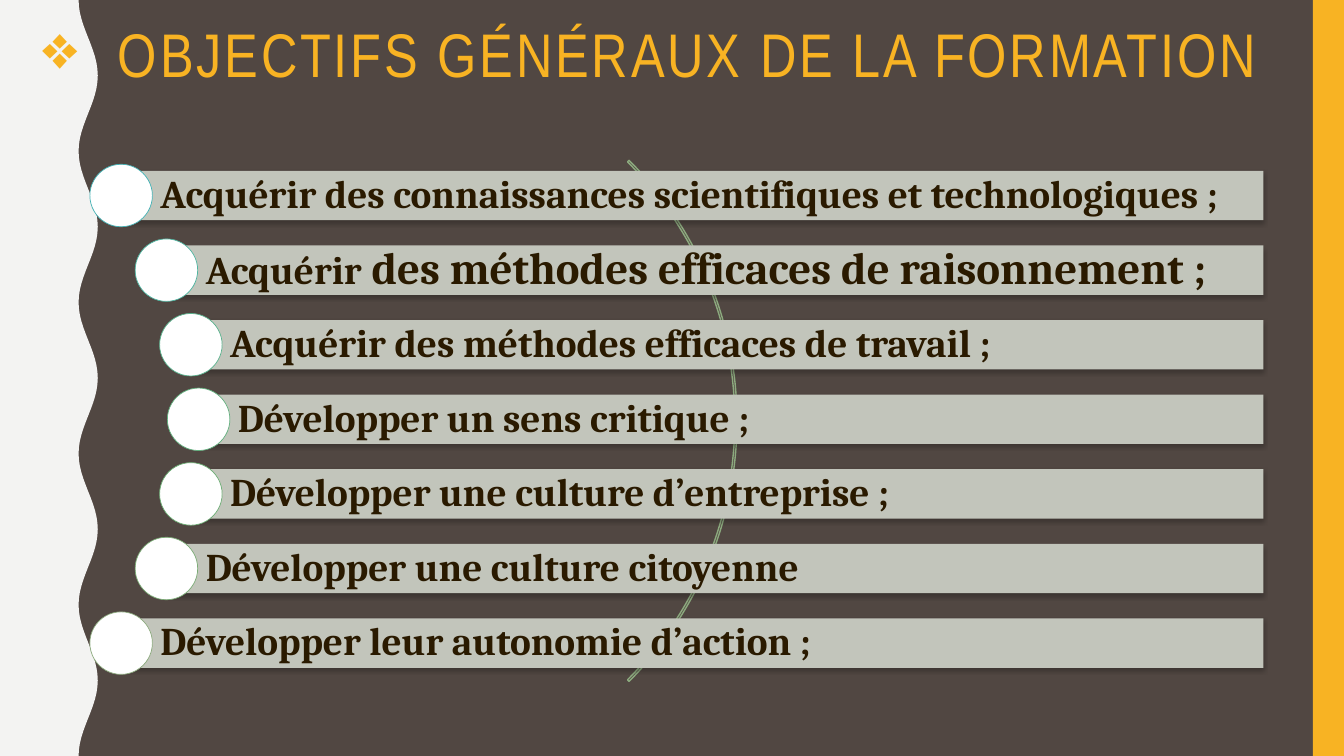
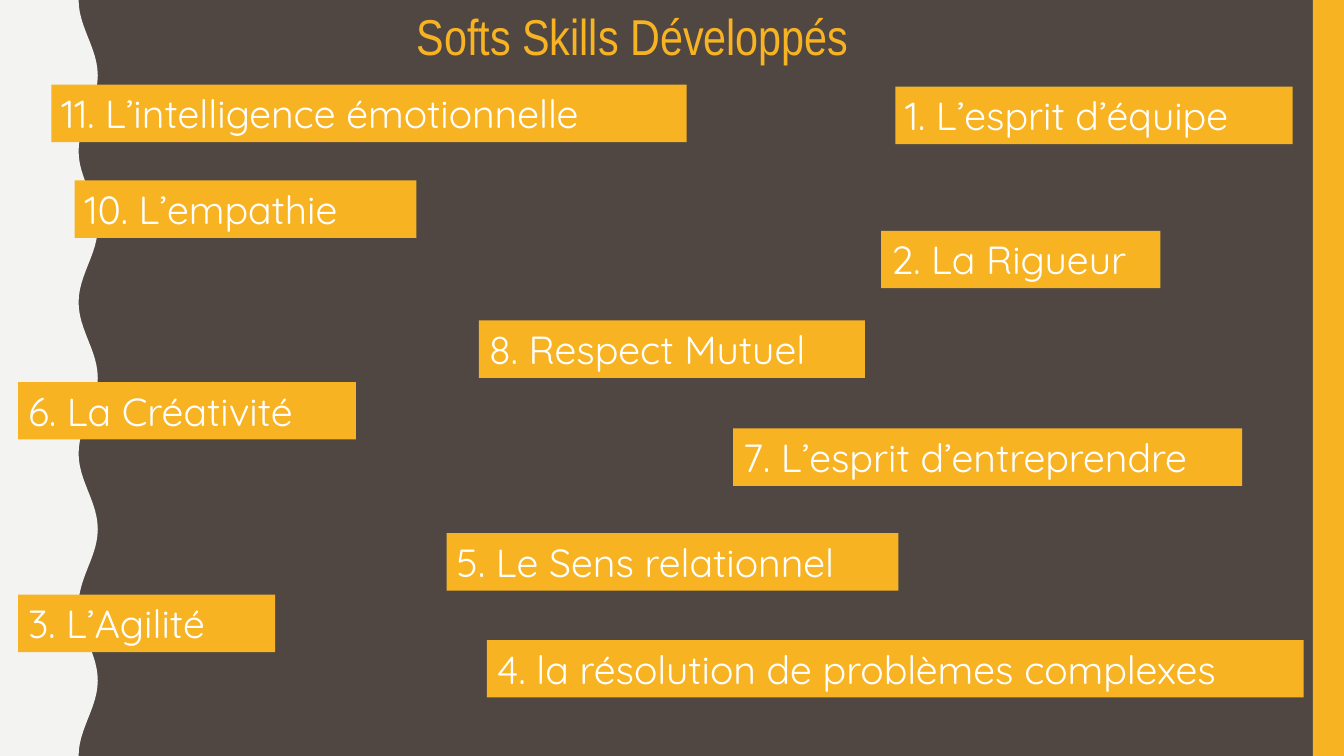
import math

import pptx
import pptx.dml.color
import pptx.enum.shapes
import pptx.enum.text
import pptx.oxml.ns
import pptx.util
from lxml import etree

Inches, Pt = pptx.util.Inches, pptx.util.Pt
RGBColor = pptx.dml.color.RGBColor
SHAPE = pptx.enum.shapes.MSO_SHAPE
ALIGN = pptx.enum.text.PP_ALIGN
ANCHOR = pptx.enum.text.MSO_ANCHOR
AUTO_SIZE = pptx.enum.text.MSO_AUTO_SIZE
qn = pptx.oxml.ns.qn

# Content
GOALS_TITLE = "OBJECTIFS GÉNÉRAUX DE LA FORMATION"
# Each goal: text runs with their own size (None: the common size), dot outline
GOALS = [
    ([("Acquérir des connaissances scientifiques et technologiques ;", None)], "46B2B5"),
    ([("Acquérir", None), (" des méthodes efficaces de raisonnement ;", 32)], "4FB4A0"),
    ([("Acquérir des méthodes efficaces de travail ;", None)], "59B18C"),
    ([("Développer un sens critique ;", None)], "62AF7E"),
    ([("Développer une culture d’entreprise ;", None)], "6CAD74"),
    ([("Développer une culture citoyenne", None)], "7AAB75"),
    ([("Développer leur autonomie d’action ;", None)], "8CAA7E"),
]
SKILLS_TITLE = "Softs Skills Développés"
# Each skill: text, left, top, width
SKILLS = [
    ("11. L’intelligence émotionnelle", 0.51, 0.84, 6.3),
    ("1. L’esprit d’équipe", 8.88, 0.86, 3.94),
    ("2. La Rigueur", 8.74, 2.29, 2.77),
    ("3. L’Agilité", 0.18, 5.9, 2.55),
    ("4. la résolution de problèmes complexes", 4.83, 6.35, 8.1),
    ("5. Le Sens relationnel", 4.43, 5.29, 4.48),
    ("6. La Créativité", 0.18, 3.79, 3.35),
    ("7. L’esprit d’entreprendre", 7.27, 4.25, 5.05),
    ("8. Respect Mutuel", 4.75, 3.18, 3.83),
    ("10. L’empathie", 0.74, 1.79, 3.39),
]

# Style
BROWN = RGBColor(0x51, 0x47, 0x42)
PALE = RGBColor(0xF3, 0xF3, 0xF2)
GOLD = RGBColor(0xF8, 0xB3, 0x23)
BAR_GREY = RGBColor(0xC2, 0xC5, 0xBB)
ARC_GREEN = RGBColor(0x8C, 0xAA, 0x7E)
DARK = RGBColor(0x2A, 0x1A, 0x00)
WHITE = RGBColor(0xFF, 0xFF, 0xFF)
SLIDE_W, SLIDE_H = 13.33, 7.5


def paint(shape, fill=None, line=None, line_width=1):
    shape.shadow.inherit = False
    if fill is None:
        shape.fill.background()
    else:
        shape.fill.solid()
        shape.fill.fore_color.rgb = fill
    if line is None:
        shape.line.fill.background()
    else:
        shape.line.color.rgb = line
        shape.line.width = Pt(line_width)


def add_shape(slide, kind, left, top, width, height, **colours):
    shape = slide.shapes.add_shape(
        kind, Inches(left), Inches(top), Inches(width), Inches(height))
    paint(shape, **colours)
    return shape


def set_font(font, name, size, colour, bold=False):
    font.name, font.size, font.bold = name, Pt(size), bold
    font.color.rgb = colour


def add_soft_shadow(shape):
    effects = shape.element.spPr.find(qn("a:effectLst"))
    shadow = etree.SubElement(
        effects, qn("a:outerShdw"), blurRad=str(Pt(3)), dist=str(Pt(2)),
        dir="5400000", algn="ctr", rotWithShape="0")
    black = etree.SubElement(shadow, qn("a:srgbClr"), val="000000")
    etree.SubElement(black, qn("a:alpha"), val="25000")


def place_title(slide, text, left, top, width, height, size):
    title = slide.shapes.title
    title.left, title.top = Inches(left), Inches(top)
    title.width, title.height = Inches(width), Inches(height)
    frame = title.text_frame
    frame.text = text
    frame.word_wrap = True
    frame.auto_size = AUTO_SIZE.NONE
    frame.vertical_anchor = ANCHOR.TOP
    paragraph = frame.paragraphs[0]
    set_font(paragraph.font, "Arial Narrow", size, GOLD)
    return paragraph


def decorate_layout(layout, slide):
    """Draw the wavy edge and the gold band, then hand them to the layout."""
    layout.background.fill.solid()
    layout.background.fill.fore_color.rgb = BROWN
    steps, period, middle, swing = 120, 1.5, 0.875, 0.095
    heights = [SLIDE_H * i / steps for i in range(steps + 1)]
    edge = [(Inches(middle - swing * math.cos(2 * math.pi * y / period)), Inches(y))
            for y in heights]
    builder = slide.shapes.build_freeform(0, 0)
    builder.add_line_segments(edge + [(0, Inches(SLIDE_H))], close=True)
    wave = builder.convert_to_shape()
    paint(wave, fill=PALE)
    band = add_shape(slide, SHAPE.RECTANGLE, 13.02, 0, 0.31, SLIDE_H, fill=GOLD)
    for number, part in enumerate((wave, band)):
        part.element.nvSpPr.cNvPr.set("id", str(100 + number))
        layout.shapes.element.insert(2 + number, part.element)


def build_goals(slide):
    title = place_title(slide, GOALS_TITLE, 0.32, 0.19, 12.39, 0.92, 44)
    title.alignment = ALIGN.LEFT
    title.line_spacing = 0.9
    properties = title.font._element.getparent()
    properties.set("marL", str(Inches(0.75)))
    properties.set("indent", str(-Inches(0.75)))
    title.font._element.set("spc", "200")
    bullet = etree.Element(qn("a:buChar"), char="❖")
    title.font._element.addprevious(bullet)

    # Thin arc behind the bars
    arc = add_shape(slide, SHAPE.BLOCK_ARC, 0, 0.52, 7.31, 7.31, line=ARC_GREEN)
    for i, value in enumerate((189, 27, 0.003)):
        arc.adjustments[i] = value

    # Bars start on a curve, each with a dot centred on its left end
    pitch, bar_height, dot, right = 0.74, 0.49, 0.62, 12.53
    first_middle, curve_left, radius = 1.94, 1.97, 3.59
    for i, (runs, outline) in enumerate(GOALS):
        offset = (i - (len(GOALS) - 1) / 2) * pitch
        left = curve_left - radius + math.sqrt(radius ** 2 - offset ** 2)
        middle = first_middle + i * pitch
        bar = add_shape(slide, SHAPE.RECTANGLE, left, middle - bar_height / 2,
                        right - left, bar_height, fill=BAR_GREY)
        add_soft_shadow(bar)
        frame = bar.text_frame
        frame.vertical_anchor = ANCHOR.MIDDLE
        frame.margin_left = Inches(0.39)
        frame.margin_top = frame.margin_right = frame.margin_bottom = Inches(0.08)
        paragraph = frame.paragraphs[0]
        paragraph.alignment = ALIGN.LEFT
        paragraph.line_spacing = 0.9
        set_font(paragraph.font, "Cambria", 28, DARK, bold=True)
        for text, size in runs:
            run = paragraph.add_run()
            run.text = text
            if size:
                run.font.size = Pt(size)
        add_shape(slide, SHAPE.OVAL, left - dot / 2, middle - dot / 2, dot, dot,
                  fill=WHITE, line=RGBColor.from_string(outline), line_width=0.5)


def build_skills(slide):
    title = place_title(slide, SKILLS_TITLE, 2.94, 0, 6.67, 0.71, 36)
    title.alignment = ALIGN.CENTER
    for text, left, top, width in SKILLS:
        label = add_shape(slide, SHAPE.RECTANGLE, left, top, width, 0.57, fill=GOLD)
        frame = label.text_frame
        frame.text = text
        frame.vertical_anchor = ANCHOR.TOP
        frame.auto_size = AUTO_SIZE.SHAPE_TO_FIT_TEXT
        paragraph = frame.paragraphs[0]
        paragraph.alignment = ALIGN.LEFT
        set_font(paragraph.font, "Quicksand", 28, WHITE)


def main():
    deck = pptx.Presentation()
    deck.slide_width, deck.slide_height = Inches(SLIDE_W), Inches(SLIDE_H)
    layout = deck.slide_layouts.get_by_name("Title Only")
    goals, skills = (deck.slides.add_slide(layout) for _ in range(2))
    decorate_layout(layout, goals)
    build_goals(goals)
    build_skills(skills)
    deck.save("out.pptx")


if __name__ == "__main__":
    main()
